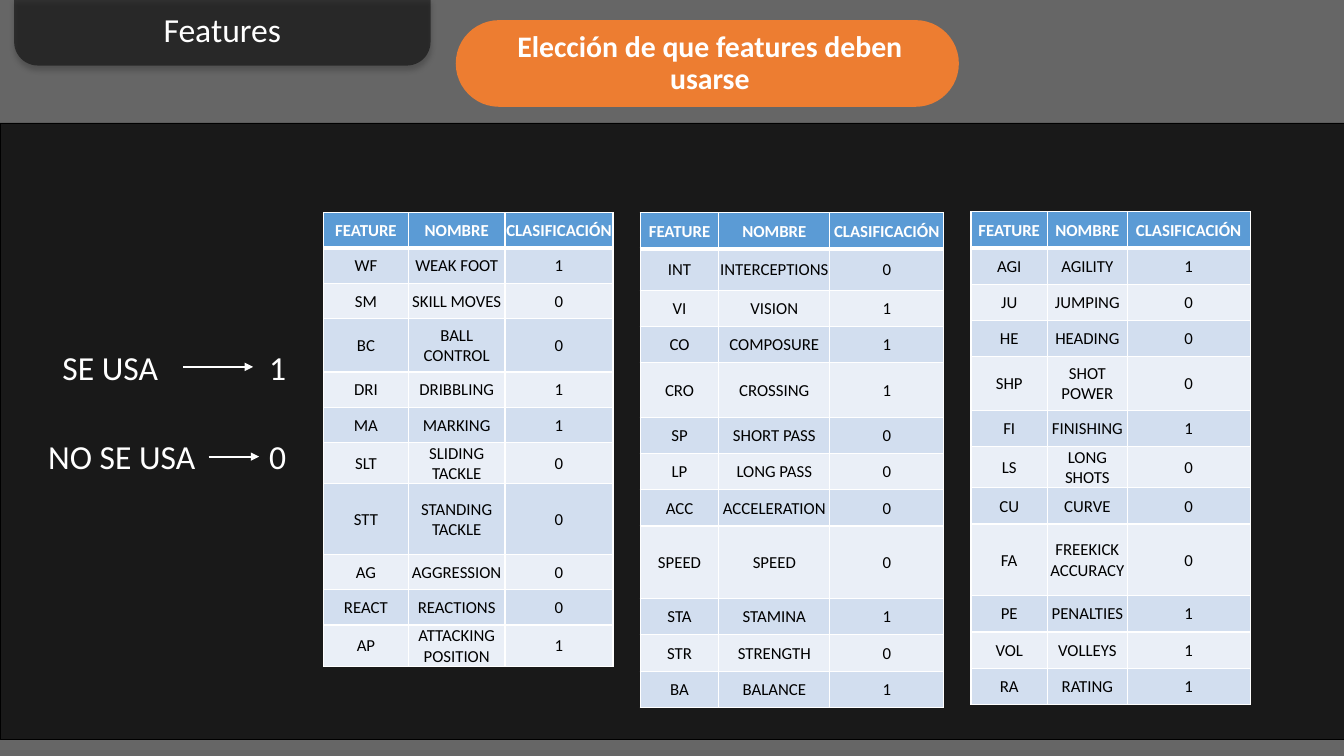
from typing import NamedTuple

from lxml.etree import SubElement
from pptx import Presentation
from pptx.dml.color import RGBColor
from pptx.enum.shapes import MSO_CONNECTOR, MSO_SHAPE
from pptx.enum.text import MSO_ANCHOR, MSO_AUTO_SIZE, PP_ALIGN
from pptx.oxml.ns import qn
from pptx.util import Inches, Pt

WHITE, BLACK, ORANGE, BLUE = "FFFFFF", "000000", "ED7D31", "5B9BD5"
BANDS = ("D2DEEF", "EAEFF7")
HEADS = ("FEATURE", "NOMBRE", "CLASIFICACIÓN")


class Row(NamedTuple):
    """One feature; high is set where the row is taller than usual."""
    code: str
    name: str
    use: int
    high: float = 0


class Grid(NamedTuple):
    """A table of features, in inches."""
    left: float
    top: float
    cols: tuple[float, ...]
    high: float
    rows: list[Row]


class Key(NamedTuple):
    """A line of the legend: label, arrow and value."""
    label: str
    value: str
    top: float
    left: float
    start: float
    end: float


GRIDS = [
    Grid(3.21, 2.11, (0.84, 0.96, 1.07), 0.35, [
        Row("WF", "WEAK FOOT", 1), Row("SM", "SKILL MOVES", 0),
        Row("BC", "BALL CONTROL", 0, 0.53), Row("DRI", "DRIBBLING", 1),
        Row("MA", "MARKING", 1), Row("SLT", "SLIDING TACKLE", 0, 0.41),
        Row("STT", "STANDING TACKLE", 0, 0.7), Row("AG", "AGGRESSION", 0),
        Row("REACT", "REACTIONS", 0), Row("AP", "ATTACKING POSITION", 1, 0.41)]),
    Grid(6.35, 2.11, (0.78, 1.1, 1.13), 0.36, [
        Row("INT", "INTERCEPTIONS", 0, 0.41), Row("VI", "VISION", 1),
        Row("CO", "COMPOSURE", 1), Row("CRO", "CROSSING", 1, 0.54),
        Row("SP", "SHORT PASS", 0), Row("LP", "LONG PASS", 0),
        Row("ACC", "ACCELERATION", 0), Row("SPEED", "SPEED", 0, 0.72),
        Row("STA", "STAMINA", 1), Row("STR", "STRENGTH", 0),
        Row("BA", "BALANCE", 1)]),
    Grid(9.63, 2.1, (0.76, 0.79, 1.22), 0.36, [
        Row("AGI", "AGILITY", 1), Row("JU", "JUMPING", 0),
        Row("HE", "HEADING", 0), Row("SHP", "SHOT POWER", 0, 0.53),
        Row("FI", "FINISHING", 1), Row("LS", "LONG SHOTS", 0, 0.41),
        Row("CU", "CURVE", 0), Row("FA", "FREEKICK ACCURACY", 0, 0.71),
        Row("PE", "PENALTIES", 1), Row("VOL", "VOLLEYS", 1),
        Row("RA", "RATING", 1)]),
]
KEYS = [Key("SE USA", "1", 3.39, 0.52, 1.82, 2.51),
        Key("NO SE USA", "0", 4.28, 0.38, 2.07, 2.57)]


def rgb(code: str) -> RGBColor:
    """Turn a hex string into a colour."""
    return RGBColor.from_string(code)


def write(frame, text: str, size: float, color: str = WHITE,
          bold: bool = False, align=PP_ALIGN.CENTER):
    """Set the text of a frame and format its paragraph."""
    frame.text = text
    para = frame.paragraphs[0]
    para.alignment = align
    font = para.font
    font.name, font.size, font.bold = "Calibri", Pt(size), bold
    font.color.rgb = rgb(color)
    return para


def box(slide, kind, left: float, top: float, wide: float, high: float,
        color: str, alpha: int = 100):
    """Add a filled shape without outline; alpha is a percentage."""
    shape = slide.shapes.add_shape(
        kind, Inches(left), Inches(top), Inches(wide), Inches(high))
    shape.shadow.inherit = False
    shape.line.fill.background()
    shape.fill.solid()
    shape.fill.fore_color.rgb = rgb(color)
    if alpha < 100:
        tint = shape.fill._xPr.find(f"{qn('a:solidFill')}/{qn('a:srgbClr')}")
        SubElement(tint, qn("a:alpha"), val=str(alpha * 1000))
    return shape


def shade(shape) -> None:
    """Drop a soft shadow straight below a shape."""
    effects = shape._element.spPr.find(qn("a:effectLst"))
    cast = SubElement(effects, qn("a:outerShdw"), blurRad=str(Pt(4)),
                      dist=str(Pt(3)), dir="5400000", rotWithShape="0")
    tint = SubElement(cast, qn("a:srgbClr"), val=BLACK)
    SubElement(tint, qn("a:alpha"), val="40000")


def label(slide, text: str, left: float, top: float, wide: float,
          wrap: bool) -> None:
    """Add a legend text."""
    frame = slide.shapes.add_textbox(
        Inches(left), Inches(top), Inches(wide), Inches(0.5)).text_frame
    frame.word_wrap = wrap
    write(frame, text, 24, align=PP_ALIGN.LEFT)


def arrow(slide, start: float, end: float, top: float) -> None:
    """Add a level white arrow."""
    line = slide.shapes.add_connector(
        MSO_CONNECTOR.STRAIGHT, Inches(start), Inches(top), Inches(end), Inches(top))
    line.line.width = Pt(1.5)
    line.line.color.rgb = rgb(WHITE)
    SubElement(line.line._get_or_add_ln(), qn("a:tailEnd"), type="triangle")
    SubElement(line._element.spPr, qn("a:effectLst"))


def fill(cell, text: str, row: int) -> None:
    """Write one cell with its borders and band colour."""
    head = row == 0
    write(cell.text_frame, text, 12, WHITE if head else BLACK, head)
    cell.vertical_anchor = MSO_ANCHOR.MIDDLE
    cell.margin_left = cell.margin_right = cell.margin_top = Inches(0.01)
    cell.margin_bottom = 0
    props = cell._tc.get_or_add_tcPr()
    for side in ("L", "R", "T", "B"):
        thick = (row, side) in ((0, "B"), (1, "T"))
        edge = SubElement(props, qn(f"a:ln{side}"), w=str(Pt(3 if thick else 1)))
        SubElement(SubElement(edge, qn("a:solidFill")), qn("a:srgbClr"), val=WHITE)
    cell.fill.solid()
    cell.fill.fore_color.rgb = rgb(BLUE if head else BANDS[(row - 1) % 2])


def draw(slide, grid: Grid) -> None:
    """Add a table of features."""
    tall = [grid.high] + [row.high or grid.high for row in grid.rows]
    table = slide.shapes.add_table(
        len(tall), len(HEADS), Inches(grid.left), Inches(grid.top),
        Inches(sum(grid.cols)), Inches(sum(tall))).table
    for col, wide in zip(table.columns, grid.cols):
        col.width = Inches(wide)
    lines = [HEADS] + [row[:3] for row in grid.rows]
    for at, (line, high) in enumerate(zip(lines, tall)):
        table.rows[at].height = Inches(high)
        for col, text in enumerate(line):
            fill(table.cell(at, col), str(text), at)


deck = Presentation()
deck.slide_width, deck.slide_height = Inches(13.33), Inches(7.5)
slide = deck.slides.add_slide(deck.slide_layouts[5])

box(slide, MSO_SHAPE.RECTANGLE, 0, 0, 13.33, 7.5, BLACK, 60)
panel = box(slide, MSO_SHAPE.RECTANGLE, 0, 1.22, 13.33, 6.12, BLACK, 75)
panel.line.color.rgb = rgb(BLACK)
panel.line.width = Pt(0.5)

tab = box(slide, MSO_SHAPE.ROUND_2_SAME_RECTANGLE, 0.14, -0.02, 4.13, 0.67, BLACK, 50)
tab.adjustments[0] = 0.35
tab.rotation = 180
shade(tab)

title = slide.shapes.title
title.left, title.top = Inches(0.14), Inches(0.04)
title.width, title.height = Inches(4.13), Inches(0.5)
title.text_frame.auto_size = MSO_AUTO_SIZE.NONE
title.text_frame.vertical_anchor = MSO_ANCHOR.TOP
write(title.text_frame, "Features", 24)
tab._element.addnext(title._element)

banner = box(slide, MSO_SHAPE.ROUNDED_RECTANGLE, 4.52, 0.2, 4.99, 0.86, ORANGE)
banner.adjustments[0] = 0.5
frame = banner.text_frame
frame.margin_left, frame.margin_right = Inches(0.45), Inches(0.4)
frame.margin_top = frame.margin_bottom = 0
frame.vertical_anchor = MSO_ANCHOR.MIDDLE
write(frame, "Elección de que features deben usarse", 21.3, bold=True).line_spacing = 0.9

for key in KEYS:
    label(slide, key.label, key.left, key.top, 1.7, True)
    arrow(slide, key.start, key.end, key.top + 0.25)
    label(slide, key.value, 2.57, key.top, 0.37, False)
for grid in GRIDS:
    draw(slide, grid)

deck.save("out.pptx")
